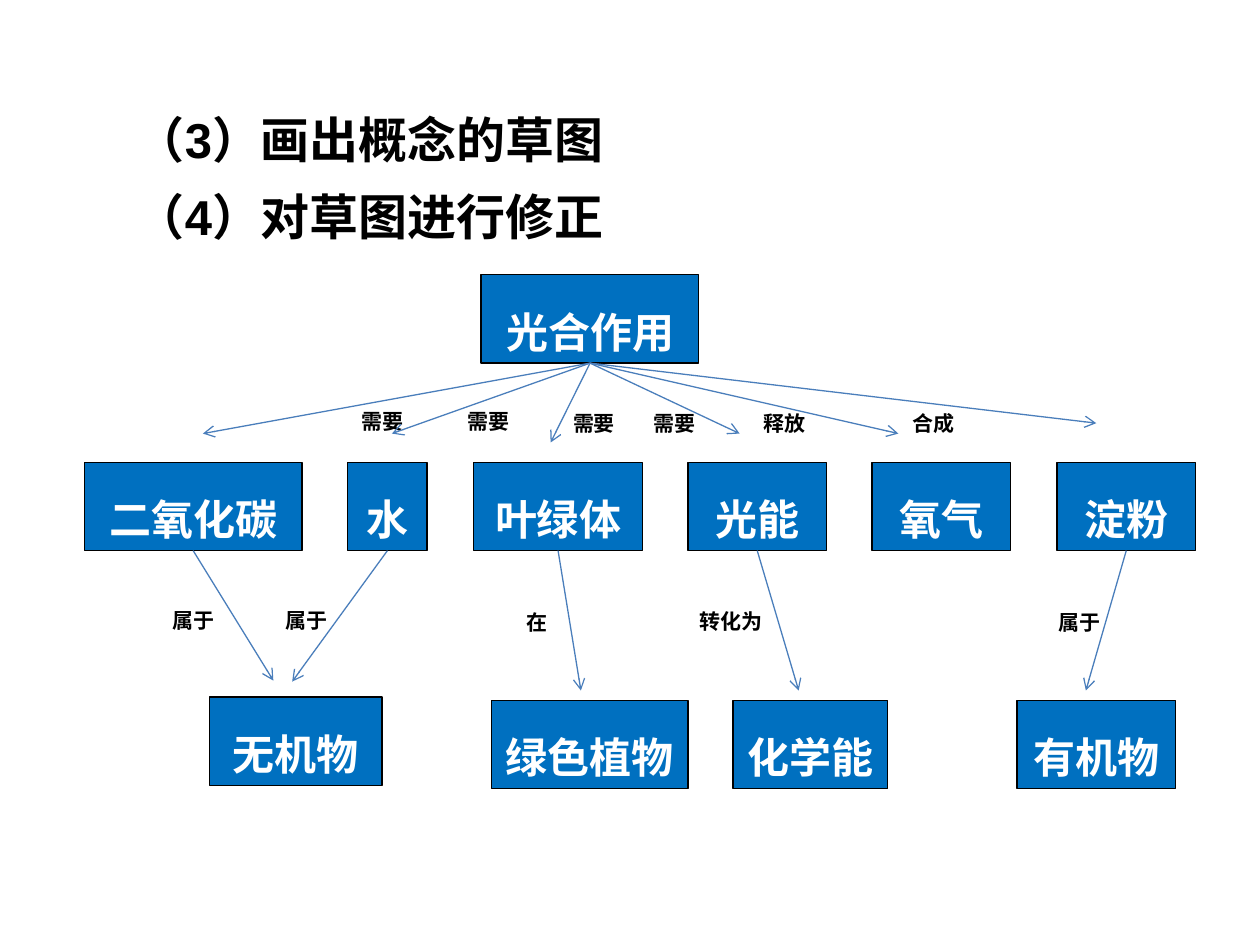
"""Build a concept map of photosynthesis on one slide."""
from lxml import etree
from pptx import Presentation
from pptx.dml.color import RGBColor
from pptx.enum import shapes, text
from pptx.oxml import ns
from pptx.util import Cm, Pt

BLUE = RGBColor(0x00, 0x70, 0xC0)
ARROW_BLUE = RGBColor(0x4A, 0x7E, 0xBB)
BLACK = RGBColor(0x00, 0x00, 0x00)
WHITE = RGBColor(0xFF, 0xFF, 0xFF)
CJK_FONT = "Noto Sans CJK SC"
CONCEPT_HEIGHT = 1.78
LABEL_HEIGHT = 1.02

STEPS = ["（3）画出概念的草图", "（4）对草图进行修正"]

# name: left, top, width
CONCEPTS = {
    "光合作用": (9.7, 5.54, 4.39),
    "二氧化碳": (1.7, 9.32, 4.39),
    "水": (7.01, 9.32, 1.6),
    "叶绿体": (9.55, 9.32, 3.4),
    "光能": (13.87, 9.32, 2.79),
    "氧气": (17.58, 9.32, 2.79),
    "淀粉": (21.31, 9.32, 2.79),
    "无机物": (4.22, 14.05, 3.48),
    "绿色植物": (9.91, 14.12, 3.96),
    "化学能": (14.78, 14.12, 3.12),
    "有机物": (20.5, 14.12, 3.2),
}

# source concept, arrow tip, label, label left, top, width
RELATIONS = [
    ("光合作用", (4.09, 8.74), "需要", (6.91, 7.85, 1.6)),
    ("光合作用", (7.9, 8.74), "需要", (9.09, 7.85, 1.52)),
    ("光合作用", (11.1, 8.92), "需要", (11.25, 7.9, 1.45)),
    ("光合作用", (14.91, 8.74), "需要", (12.9, 7.9, 1.38)),
    ("光合作用", (18.11, 8.74), "释放", (15.09, 7.9, 1.47)),
    ("光合作用", (22.1, 8.53), "合成", (18.11, 7.9, 1.4)),
    ("二氧化碳", (5.51, 13.72), "属于", (3.1, 11.86, 1.6)),
    ("水", (5.89, 13.74), "属于", (5.41, 11.86, 1.52)),
    ("叶绿体", (11.71, 13.92), "在", (10.11, 11.91, 1.45)),
    ("光能", (16.1, 13.92), "转化为", (13.69, 11.89, 2.08)),
    ("淀粉", (21.89, 13.92), "属于", (21.03, 11.91, 1.47)),
]


def write(holder, words, size, color, font=CJK_FONT, centred=True):
    frame = holder.text_frame
    frame.word_wrap = True
    frame.auto_size = text.MSO_AUTO_SIZE.SHAPE_TO_FIT_TEXT
    frame.vertical_anchor = text.MSO_ANCHOR.MIDDLE if centred else text.MSO_ANCHOR.TOP
    frame.text = words
    for paragraph in frame.paragraphs:
        paragraph.alignment = text.PP_ALIGN.CENTER if centred else text.PP_ALIGN.LEFT
        paragraph.line_spacing = 1.5 if centred else 1.3
        for run in paragraph.runs:
            run.font.size = Pt(size)
            run.font.bold = True
            run.font.color.rgb = color
            run.font.name = font
            east_asian = etree.SubElement(run.font._element, ns.qn("a:ea"))
            east_asian.set("typeface", CJK_FONT)


def add_concept(slide, name, left, top, width):
    concept = slide.shapes.add_shape(
        shapes.MSO_SHAPE.RECTANGLE, Cm(left), Cm(top), Cm(width), Cm(CONCEPT_HEIGHT))
    concept.shadow.inherit = False
    concept.fill.solid()
    concept.fill.fore_color.rgb = BLUE
    concept.line.color.rgb = BLACK
    concept.line.width = Pt(0.75)
    write(concept, name, 24, WHITE)


def add_arrow(slide, source, tip):
    left, top, width = CONCEPTS[source]
    arrow = slide.shapes.add_connector(
        shapes.MSO_CONNECTOR.STRAIGHT,
        Cm(left + width / 2), Cm(top + CONCEPT_HEIGHT), Cm(tip[0]), Cm(tip[1]))
    arrow.line.color.rgb = ARROW_BLUE
    arrow.line.width = Pt(0.75)
    head = etree.SubElement(arrow.line._get_or_add_ln(), ns.qn("a:tailEnd"))
    head.set("type", "arrow")
    etree.SubElement(arrow._element.spPr, ns.qn("a:effectLst"))


def add_text(slide, words, left, top, width, height, **style):
    box = slide.shapes.add_textbox(Cm(left), Cm(top), Cm(width), Cm(height))
    write(box, words, color=BLACK, **style)


def main():
    deck = Presentation()
    deck.slide_width, deck.slide_height = Cm(25.4), Cm(19.05)
    slide = deck.slides.add_slide(deck.slide_layouts[6])
    add_text(slide, "\n".join(STEPS), 2.49, 1.73, 20.4, 3.35,
             size=28, font="Arial", centred=False)
    for name, place in CONCEPTS.items():
        add_concept(slide, name, *place)
    for source, tip, label, place in RELATIONS:
        add_arrow(slide, source, tip)
        add_text(slide, label, *place, LABEL_HEIGHT, size=12)
    deck.save("out.pptx")


if __name__ == "__main__":
    main()
